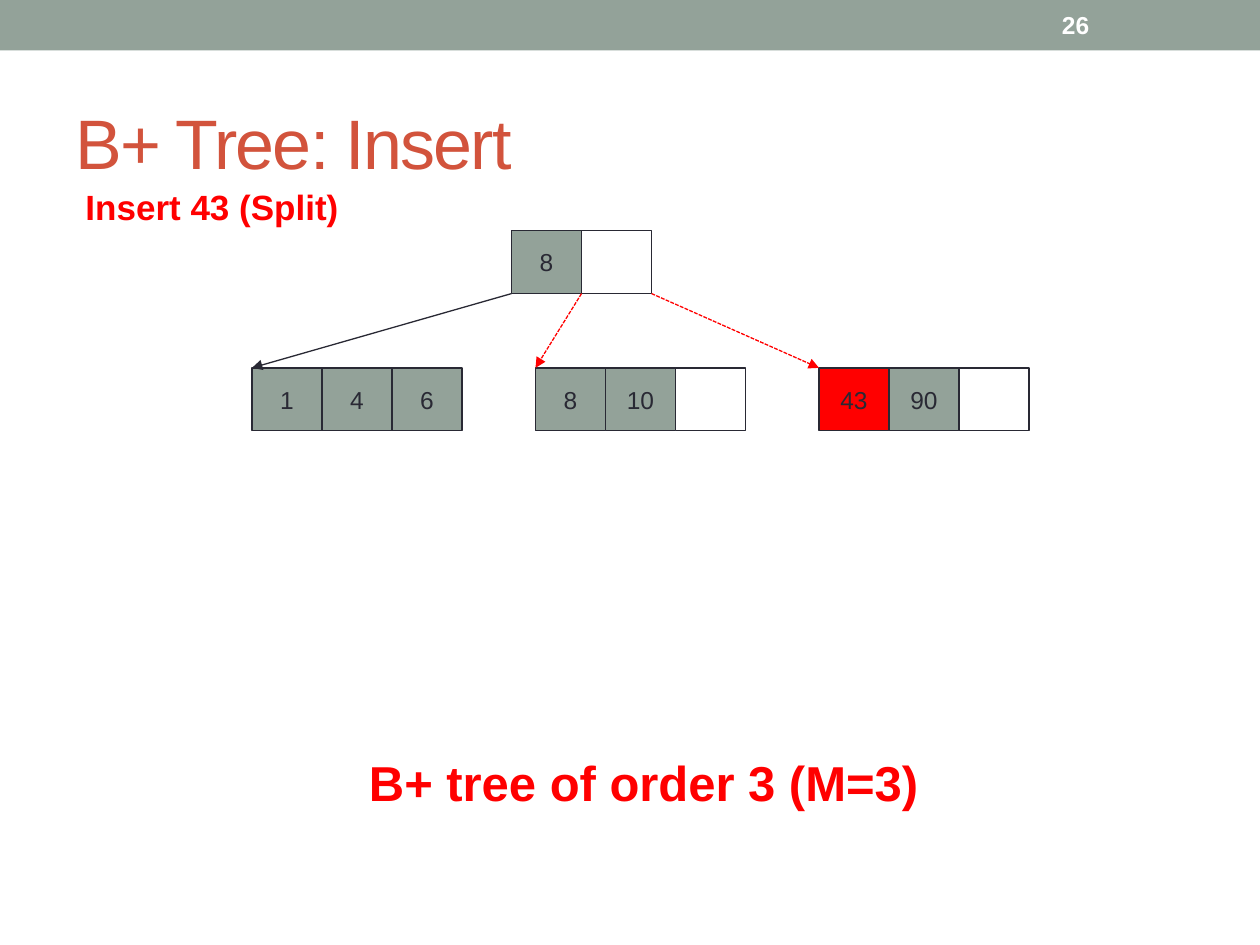
from pptx import Presentation
from pptx.dml.color import RGBColor
from pptx.enum.dml import MSO_LINE
from pptx.enum.shapes import MSO_CONNECTOR, MSO_SHAPE
from pptx.enum.text import MSO_ANCHOR, MSO_AUTO_SIZE, PP_ALIGN
from pptx.oxml.ns import qn
from pptx.util import Inches, Pt
from lxml.etree import SubElement

SAGE = RGBColor(0x93, 0xA2, 0x99)
RUST = RGBColor(0xD2, 0x53, 0x3C)
INK = RGBColor(0x29, 0x29, 0x34)
RED = RGBColor(0xFF, 0x00, 0x00)
WHITE = RGBColor(0xFF, 0xFF, 0xFF)

FONT = "Arial"
SLIDE_WIDTH, SLIDE_HEIGHT = Inches(10), Inches(7.5)
CELL_WIDTH, CELL_HEIGHT = SLIDE_WIDTH / 18, SLIDE_HEIGHT / 15
LINE_WIDTH = Pt(0.75)

ROOT_LEFT, ROOT_TOP = Inches(4.06), Inches(1.83)
LEAF_LEFT, LEAF_TOP, LEAF_STEP = Inches(2), Inches(2.92), Inches(2.25)
ROOT_KEYS = [8, None]
LEAVES = [[1, 4, 6], [8, 10, None], [43, 90, None]]
INSERTED_KEY = 43


def add_run(paragraph, text, size, color, bold=False):
    run = paragraph.add_run()
    run.text = text
    run.font.name = FONT
    run.font.size = Pt(size)
    run.font.bold = bold
    run.font.color.rgb = color
    return run


def add_label(slide, box, text, size, color, bold=True, fitted=False):
    """Add a text box; a fitted one hugs its single line, others centre it vertically."""
    label = slide.shapes.add_textbox(*(Inches(length) for length in box))
    frame = label.text_frame
    frame.word_wrap = not fitted
    if fitted:
        frame.auto_size = MSO_AUTO_SIZE.SHAPE_TO_FIT_TEXT
    else:
        frame.vertical_anchor = MSO_ANCHOR.MIDDLE
    return add_run(frame.paragraphs[0], text, size, color, bold)


def add_rectangle(shapes, left, top, width, height, fill):
    rectangle = shapes.add_shape(
        MSO_SHAPE.RECTANGLE, round(left), round(top), round(width), round(height))
    rectangle.shadow.inherit = False
    rectangle.fill.solid()
    rectangle.fill.fore_color.rgb = fill
    rectangle.line.fill.background()
    return rectangle


def add_header(slide):
    add_rectangle(slide.shapes, 0, 0, SLIDE_WIDTH, Inches(0.4), SAGE)
    title = add_label(slide, (0.5, 0.58, 9, 1.08), "B+ Tree: Insert", 40, RUST, bold=False)
    title.font._element.set("spc", "-100")
    add_label(slide, (8.33, 0.02, 1.17, 0.36), "26", 14, WHITE)


def add_node(slide, left, top, keys):
    """Add a tree node as a group of equal cells, one for each key slot."""
    group = slide.shapes.add_group_shape()
    for column, key in enumerate(keys):
        fill = WHITE if key is None else RED if key == INSERTED_KEY else SAGE
        cell = add_rectangle(group.shapes, left + column * CELL_WIDTH, top,
                             CELL_WIDTH, CELL_HEIGHT, fill)
        cell.line.color.rgb = INK
        cell.line.width = LINE_WIDTH
        if key is not None:
            frame = cell.text_frame
            frame.word_wrap = False
            frame.vertical_anchor = MSO_ANCHOR.MIDDLE
            frame.paragraphs[0].alignment = PP_ALIGN.CENTER
            add_run(frame.paragraphs[0], str(key), 14, INK)


def add_pointer(slide, start, end, color, dashed):
    points = (round(length) for length in (*start, *end))
    pointer = slide.shapes.add_connector(MSO_CONNECTOR.STRAIGHT, *points)
    pointer.line.color.rgb = color
    pointer.line.width = LINE_WIDTH
    if dashed:
        pointer.line.dash_style = MSO_LINE.SQUARE_DOT
    properties = pointer._element.spPr
    SubElement(properties.find(qn("a:ln")), qn("a:tailEnd"), type="triangle")
    SubElement(properties, qn("a:effectLst"))


def add_tree(slide):
    add_node(slide, ROOT_LEFT, ROOT_TOP, ROOT_KEYS)
    for index, keys in enumerate(LEAVES):
        leaf_left = LEAF_LEFT + index * LEAF_STEP
        add_node(slide, leaf_left, LEAF_TOP, keys)
        changed = index > 0
        add_pointer(slide,
                    (ROOT_LEFT + index * CELL_WIDTH, ROOT_TOP + CELL_HEIGHT),
                    (leaf_left, LEAF_TOP),
                    RED if changed else INK, changed)


def main():
    presentation = Presentation()
    presentation.slide_width, presentation.slide_height = SLIDE_WIDTH, SLIDE_HEIGHT
    slide = presentation.slides.add_slide(presentation.slide_layouts[6])
    add_header(slide)
    add_label(slide, (2.83, 5.92, 4.93, 0.57), "B+ tree of order 3 (M=3)", 28, RED, fitted=True)
    add_label(slide, (0.58, 1.42, 2.29, 0.44), "Insert 43 (Split)", 20, RED, fitted=True)
    add_tree(slide)
    presentation.save("out.pptx")


if __name__ == "__main__":
    main()
